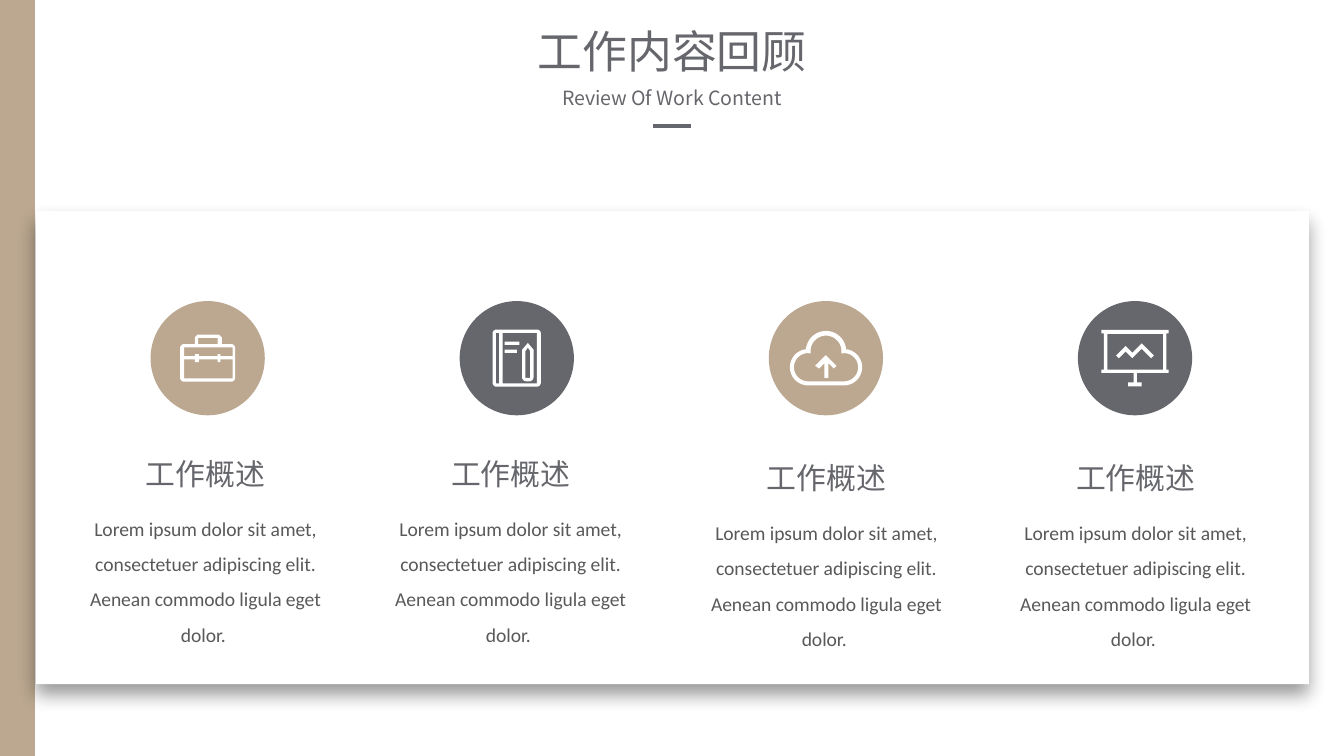
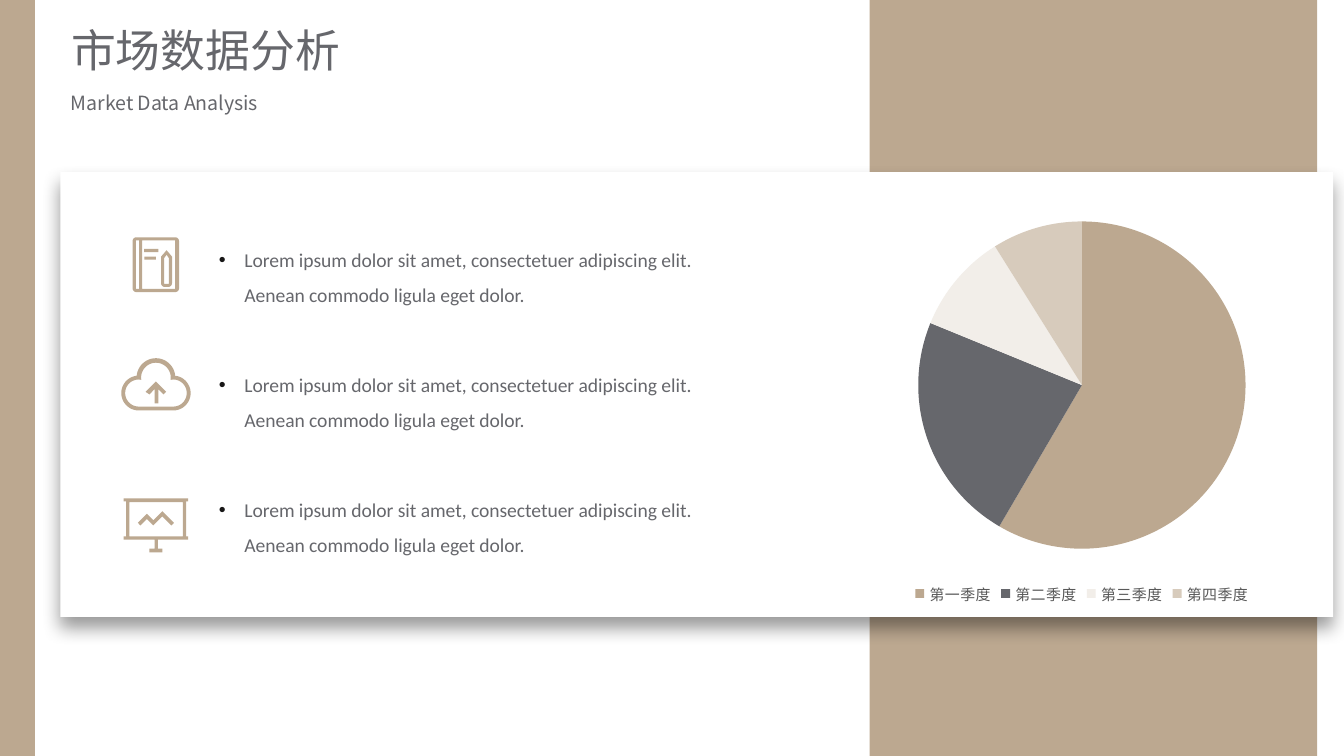
from math import cos, radians, sin

from lxml import etree
from pptx import Presentation
from pptx.chart.data import CategoryChartData
from pptx.dml.color import RGBColor
from pptx.enum import chart as charts, shapes, text
from pptx.oxml import ns
from pptx.util import Inches, Pt

TAN = RGBColor(0xBC, 0xA8, 0x90)
SLATE = RGBColor(0x66, 0x67, 0x6C)
GREY = RGBColor(0x59, 0x59, 0x59)
WHITE = RGBColor(0xFF, 0xFF, 0xFF)
BLACK = RGBColor(0, 0, 0)
IVORY = RGBColor(0xF2, 0xEE, 0xE9)
SAND = RGBColor(0xD7, 0xCB, 0xBC)
BULLET = RGBColor(0x18, 0x17, 0x17)

HEAD_FONT = "Noto Sans CJK SC"
BODY_FONT = "Calibri"
CENTER, LEFT = text.PP_ALIGN.CENTER, text.PP_ALIGN.LEFT
LOREM = ("Lorem ipsum dolor sit amet, consectetuer adipiscing elit. "
         "Aenean commodo ligula eget dolor.")


# Icon outlines, in hundredths of an inch
def rect(left, top, right, bottom):
    return [(left, top), (right, top), (right, bottom), (left, bottom)]


def arc(x, y, radius, start, end, steps=24):
    angles = [radians(start + (end - start) * i / steps) for i in range(steps + 1)]
    return [(x + radius * cos(a), y + radius * sin(a)) for a in angles]


def rounded(left, top, right, bottom, radius=3):
    corners = [(left + radius, top + radius, 180), (right - radius, top + radius, 270),
               (right - radius, bottom - radius, 0), (left + radius, bottom - radius, 90)]
    return [point for x, y, start in corners
            for point in arc(x, y, radius, start, start + 90, 6)]


def clasped(edge, band, notch):
    """Half of the briefcase opening, notched by the two clasps."""
    return [(3, edge), (39, edge), (39, band), (30, band), (30, notch), (28, notch),
            (28, band), (14, band), (14, notch), (11, notch), (11, band), (3, band)]


def cloud(side, crown, tilt, lift):
    return (arc(13.75, 27, side, 90, 270 - tilt)
            + arc(27.1, 15, crown, 180 + lift, 360 - lift)
            + arc(40.5, 27, side, tilt - 90, 90))


# Each icon: size, freeform parts (lists of contours) and plain bars
ICONS = {
    "briefcase": ((41, 35), [
        [rounded(0, 7, 41, 35), clasped(9.5, 16, 14.5), clasped(32.5, 18.5, 20.5),
         [(11, 7), (11, 2), (13, 0), (29, 0), (31, 2), (31, 7),
          (28, 7), (28, 2.5), (13.5, 2.5), (13.5, 7)]],
    ], []),
    "notebook": ((36, 42.5), [
        [rounded(0, 0, 36, 42.5), rect(2.5, 2.5, 5, 40), rect(7.5, 2.5, 33, 40)],
        [[(26.3, 10), (30.5, 15)] + arc(27.5, 35.5, 3, 0, 90, 6)
         + arc(25, 35.5, 3, 90, 180, 6) + [(22, 15)],
         [(26.3, 13.5), (28, 16), (28, 36), (24.5, 36), (24.5, 16)]],
    ], [(9, 9, 11, 2.4), (9, 15, 9, 2.4)]),
    "cloud": ((54, 40.5), [
        [cloud(13.5, 15, 9, 4), cloud(10.5, 11.5, 0, -9)],
        [[(19, 26), (22, 28), (26, 24), (26, 35), (29, 35),
          (29, 24), (33, 28), (35, 26), (27, 18)]],
    ], []),
    "board": ((50, 42), [
        [[(0, 0), (50, 0), (50, 2.5), (48.5, 2.5), (48.5, 29.5), (50, 29.5),
          (50, 32), (26.5, 32), (26.5, 39), (30, 39), (30, 42), (20, 42),
          (20, 39), (24, 39), (24, 32), (0, 32), (0, 29.5), (2, 29.5),
          (2, 2.5), (0, 2.5)],
         rect(4.5, 3, 46, 29.5)],
        [[(11, 19), (18, 12), (23, 17), (30, 10), (39, 19), (37, 21),
          (30, 14), (23, 21), (18, 16), (13, 21)]],
    ], []),
}


# Shared helpers
def paint(shape, color):
    shape.shadow.inherit = False
    shape.fill.solid()
    shape.fill.fore_color.rgb = color
    shape.line.fill.background()
    return shape


def add_block(page, kind, left, top, width, height, color):
    return paint(page.shapes.add_shape(kind, Inches(left), Inches(top),
                                       Inches(width), Inches(height)), color)


def set_font(font, name, size, color):
    font.name, font.size = name, Pt(size)
    font.color.rgb = color
    east_asian = etree.SubElement(font._element, ns.qn("a:ea"))
    east_asian.set("typeface", name)


def add_bullet(para):
    props = para._p.get_or_add_pPr()
    props.set("marL", str(Inches(0.19)))
    props.set("indent", str(-Inches(0.19)))
    tint = etree.SubElement(props, ns.qn("a:buClr"))
    etree.SubElement(tint, ns.qn("a:srgbClr")).set("val", str(BULLET))
    etree.SubElement(props, ns.qn("a:buFont")).set("typeface", "Arial")
    etree.SubElement(props, ns.qn("a:buChar")).set("char", "•")


def fill_text(box, words, font, align):
    """Put one line of heading text in the middle of its box."""
    frame = box.text_frame
    frame.text = words
    frame.word_wrap = False
    frame.auto_size = text.MSO_AUTO_SIZE.NONE
    frame.vertical_anchor = text.MSO_ANCHOR.MIDDLE
    para = frame.paragraphs[0]
    para.alignment = align
    set_font(para.font, *font)


def add_box(page, left, top, width, height):
    return page.shapes.add_textbox(Inches(left), Inches(top), Inches(width), Inches(height))


def add_body(page, left, top, width, height, words, color, align=LEFT, bullet=False):
    frame = add_box(page, left, top, width, height).text_frame
    frame.word_wrap = True
    frame.text = words
    para = frame.paragraphs[0]
    if bullet:
        add_bullet(para)
    para.alignment = align
    para.line_spacing = 1.5
    set_font(para.font, BODY_FONT, 10.5, color)


def add_card(page, left, top, width, height):
    """White panel with a soft shadow beneath."""
    card = add_block(page, shapes.MSO_SHAPE.RECTANGLE, left, top, width, height, WHITE)
    effects = card._element.spPr.find(ns.qn("a:effectLst"))
    shadow = etree.SubElement(effects, ns.qn("a:outerShdw"), blurRad=str(Pt(10)),
                              dist=str(Pt(6)), dir="5400000", algn="ctr", rotWithShape="0")
    tint = etree.SubElement(shadow, ns.qn("a:srgbClr"), val=str(BLACK))
    etree.SubElement(tint, ns.qn("a:alpha"), val="40000")


def add_icon(page, name, center_x, center_y, color, scale=1.0):
    (width, height), parts, bars = ICONS[name]
    left, top = center_x - width * scale / 200, center_y - height * scale / 200

    def place(point):
        return (Inches(left + point[0] * scale / 100), Inches(top + point[1] * scale / 100))

    pieces = []
    for contours in parts:
        builder = None
        for contour in contours:
            first, *rest = [place(point) for point in contour]
            if builder is None:
                builder = page.shapes.build_freeform(*first)
            else:
                builder.move_to(*first)
            builder.add_line_segments(rest, close=True)
        pieces.append(paint(builder.convert_to_shape(), color))
    for x, y, bar_width, bar_height in bars:
        pieces.append(add_block(page, shapes.MSO_SHAPE.RECTANGLE, left + x * scale / 100,
                                top + y * scale / 100, bar_width * scale / 100,
                                bar_height * scale / 100, color))
    if len(pieces) > 1:
        page.shapes.add_group_shape(pieces)


def start_page(deck):
    page = deck.slides.add_slide(deck.slide_layouts[5])
    add_block(page, shapes.MSO_SHAPE.RECTANGLE, -0.01, 0, 0.27, 5.63, TAN)
    return page


def add_heading(page, left, top, title, sub_left, sub_top, subtitle, align):
    box = page.shapes.title
    box.left, box.top = Inches(left), Inches(top)
    box.width, box.height = Inches(2.22), Inches(0.5)
    fill_text(box, title, (HEAD_FONT, 24, SLATE), align)
    fill_text(add_box(page, sub_left, sub_top, 2.1, 0.28), subtitle,
              (HEAD_FONT, 10.5, SLATE), align)


# Work review: four columns on a card
def add_column(page, left, top, circle_left, icon, color):
    size, circle_top = 0.85, 2.24
    add_body(page, left, top, 2, 1.13, LOREM + " ", GREY, CENTER)
    fill_text(add_box(page, left + 0.45, top - 0.37, 1.1, 0.37), "工作概述",
              (HEAD_FONT, 16, SLATE), CENTER)
    add_block(page, shapes.MSO_SHAPE.OVAL, circle_left, circle_top, size, size, color)
    add_icon(page, icon, circle_left + size / 2, circle_top + size / 2, WHITE)


def build_review(deck):
    page = start_page(deck)
    add_card(page, 0.27, 1.57, 9.47, 3.52)
    add_heading(page, 3.89, 0.13, "工作内容回顾", 3.95, 0.59, "Review Of Work Content", CENTER)
    rule = page.shapes.add_connector(shapes.MSO_CONNECTOR.STRAIGHT, Inches(4.86),
                                     Inches(0.94), Inches(5.14), Inches(0.94))
    rule.line.color.rgb = SLATE
    rule.line.width = Pt(2.25)
    etree.SubElement(rule._element.spPr, ns.qn("a:effectLst"))
    columns = [(0.53, 3.71, "briefcase"), (2.8, 3.71, "notebook"),
               (5.15, 3.74, "cloud"), (7.45, 3.74, "board")]
    for index, (left, top, icon) in enumerate(columns):
        add_column(page, left, top, 1.12 + 2.3 * index, icon, (TAN, SLATE)[index % 2])


# Market analysis: icon list and pie chart
def add_pie(page, left, top, width, height):
    data = CategoryChartData()
    data.categories = ["第一季度", "第二季度", "第三季度", "第四季度"]
    data.add_series("Series 1", (59, 23, 10, 9))
    chart = page.shapes.add_chart(charts.XL_CHART_TYPE.PIE, Inches(left), Inches(top),
                                  Inches(width), Inches(height), data).chart
    chart.has_title = False
    set_font(chart.font, BODY_FONT, 10, BLACK)
    chart.has_legend = True
    chart.legend.position = charts.XL_LEGEND_POSITION.BOTTOM
    chart.legend.include_in_layout = False
    set_font(chart.legend.font, HEAD_FONT, 8, GREY)
    plot = chart.plots[0]
    plot.vary_by_categories = True
    for index, color in enumerate((TAN, SLATE, IVORY, SAND)):
        wedge = plot.series[0].points[index].format
        wedge.fill.solid()
        wedge.fill.fore_color.rgb = color
        wedge.line.fill.background()


def build_market(deck):
    page = start_page(deck)
    add_block(page, shapes.MSO_SHAPE.RECTANGLE, 6.47, 0, 3.33, 5.63, TAN)
    add_card(page, 0.45, 1.28, 9.47, 3.31)
    add_heading(page, 0.43, 0.12, "市场数据分析", 0.43, 0.62, "Market Data Analysis", LEFT)
    add_pie(page, 5.78, 1.51, 4.54, 3.03)
    rows = [("notebook", 1.97), ("cloud", 2.86), ("board", 3.91)]
    for index, (icon, center_y) in enumerate(rows):
        add_body(page, 1.53, 1.71 + 0.93 * index, 3.92, 0.6, LOREM, SLATE, bullet=True)
        add_icon(page, icon, 1.16, center_y, TAN, scale=0.96)


def main():
    deck = Presentation()
    deck.slide_width = Inches(10)
    deck.slide_height = deck.slide_width * 9 // 16
    build_review(deck)
    build_market(deck)
    deck.save("out.pptx")


if __name__ == "__main__":
    main()
